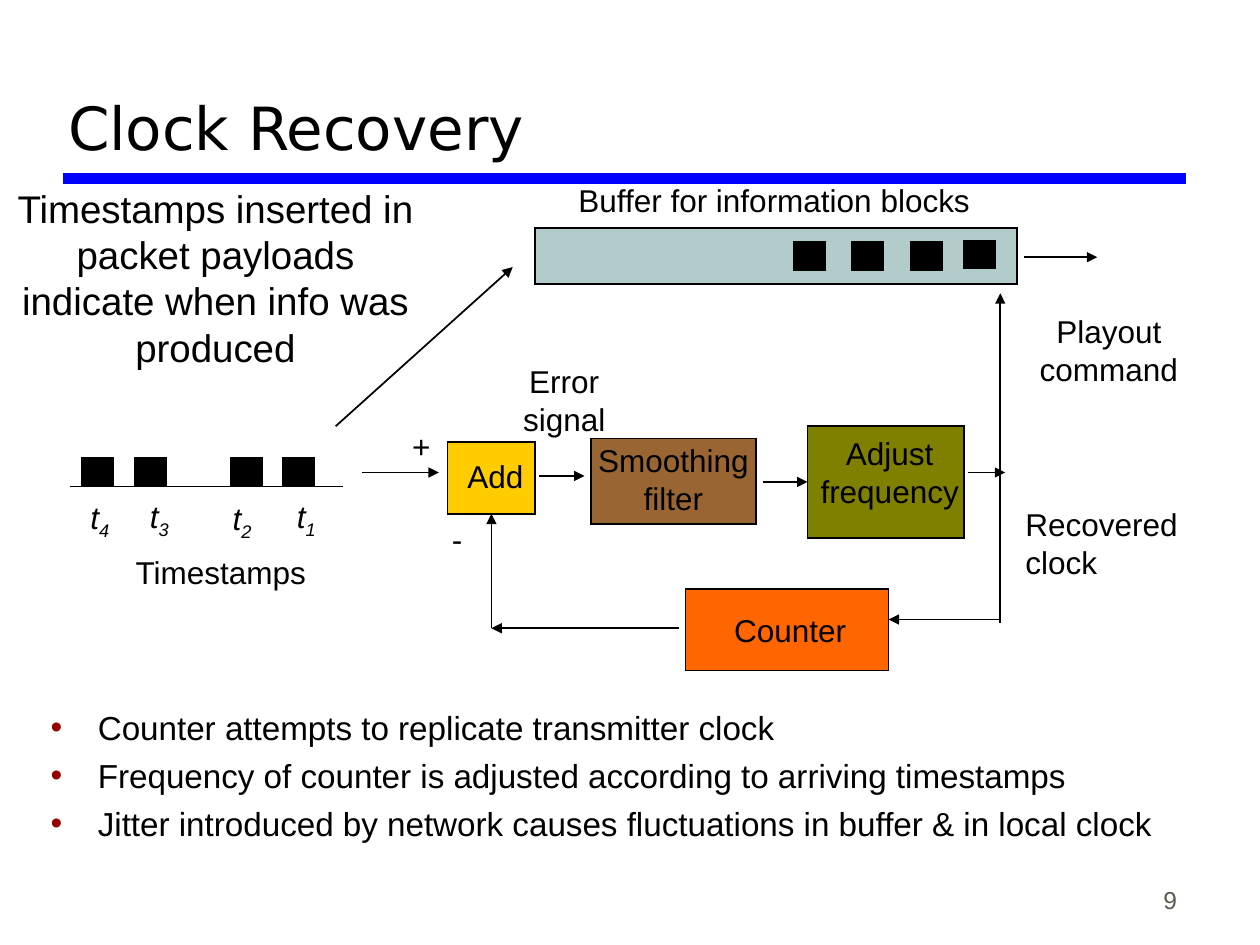
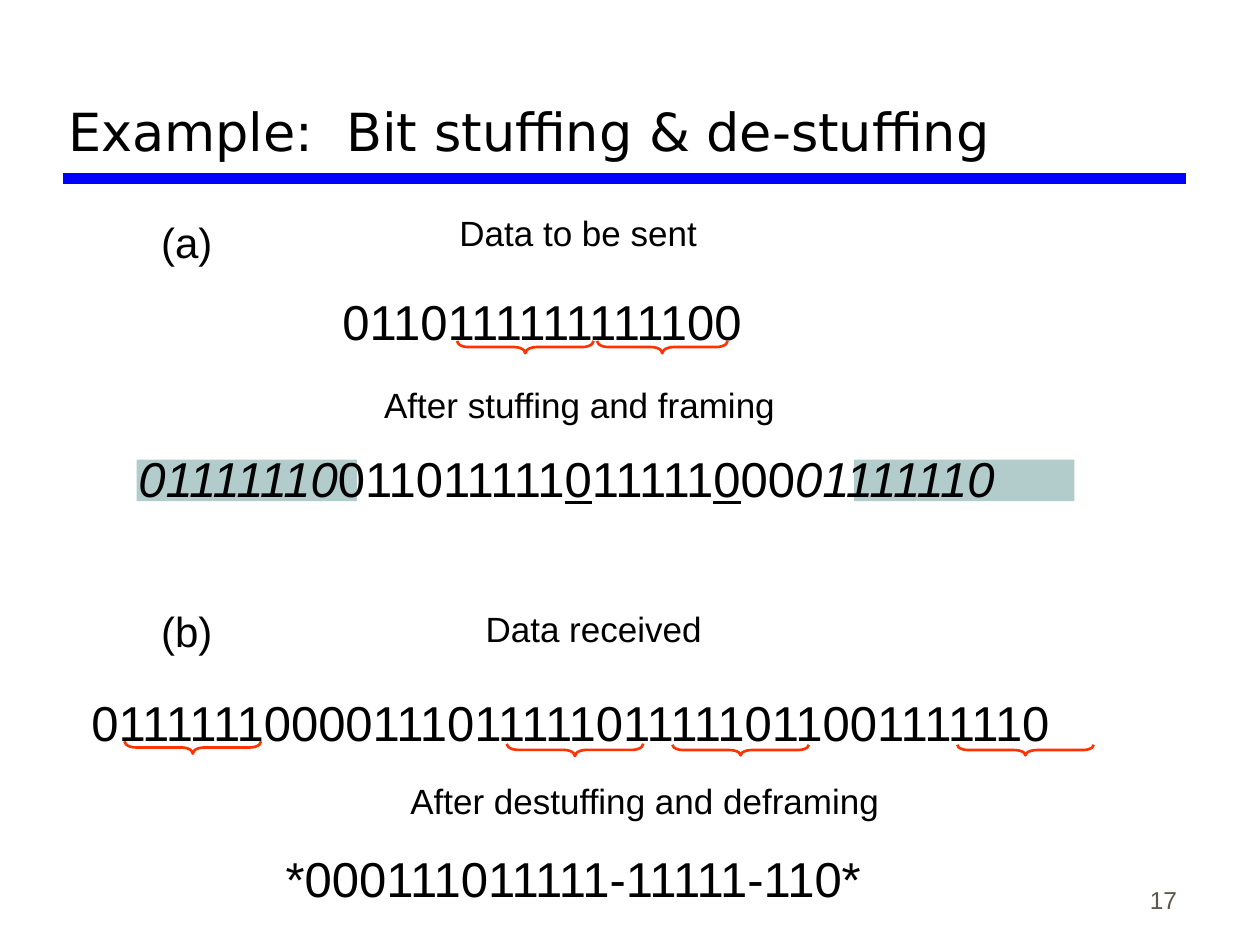
import dataclasses

import lxml.etree
import pptx
import pptx.dml.color
import pptx.enum.shapes
import pptx.enum.text
import pptx.oxml.ns
import pptx.util

Pt = pptx.util.Pt
Align = pptx.enum.text.PP_ALIGN
Anchor = pptx.enum.text.MSO_ANCHOR
AutoSize = pptx.enum.text.MSO_AUTO_SIZE
Preset = pptx.enum.shapes.MSO_SHAPE


@dataclasses.dataclass(frozen=True)
class Theme:
    title_font: str = "DejaVu Sans"
    text_font: str = "Arial"
    ink: str = "000000"
    rule: str = "0000FF"
    number: str = "5E574E"
    bullet: str = "990000"
    pale: str = "B1CCCB"
    brace: str = "FF3300"
    adder: str = "FFCC00"
    smoother: str = "996633"
    adjuster: str = "808000"
    counter: str = "FF6600"
    title_size: int = 34
    long_title_size: int = 30
    number_size: int = 14
    label_size: int = 18
    bullet_size: int = 19
    caption_size: int = 20
    note_size: int = 22
    part_size: int = 24
    bits_size: int = 28


def rgb(value):
    return pptx.dml.color.RGBColor.from_string(value)


def add_xml(parent, tag, **attributes):
    return lxml.etree.SubElement(parent, pptx.oxml.ns.qn(tag), attributes)


class SlideBuilder:
    def __init__(self, deck, theme):
        self.deck = deck
        self.theme = theme
        self.page = None

    def start(self, title, title_size, number):
        theme = self.theme
        self.page = self.deck.slides.add_slide(self.deck.slide_layouts[5])
        self.line((36, 102), (678, 102), theme.rule, 6)
        box = self.page.shapes.title
        box.left, box.top, box.width, box.height = Pt(31.7), Pt(12), Pt(645.8), Pt(84.2)
        frame = box.text_frame
        frame.text = title
        frame.word_wrap = True
        frame.auto_size = AutoSize.NONE
        frame.vertical_anchor = Anchor.BOTTOM
        frame.paragraphs[0].alignment = Align.LEFT
        self.format(frame.paragraphs[0], title_size, theme.ink, theme.title_font)
        corner = self.label(str(number), 529.9, 490.3, 149.8, theme.number_size,
                            align=Align.RIGHT, color=theme.number, wrap=True)
        corner.height = Pt(36)
        corner.text_frame.vertical_anchor = Anchor.BOTTOM

    def format(self, para, size, color, name=None):
        for span in para.runs:
            span.font.name = name or self.theme.text_font
            span.font.size = Pt(size)
            span.font.color.rgb = rgb(color)

    def label(self, text, left, top, width, size, align=Align.LEFT, color=None, wrap=False, rows=None):
        rows = rows or text.count("\n") + 1
        box = self.page.shapes.add_textbox(
            Pt(left), Pt(top), Pt(width), Pt(7.2 + 1.2 * size * rows))
        frame = box.text_frame
        frame.text = text
        frame.word_wrap = wrap
        frame.auto_size = AutoSize.NONE if wrap else AutoSize.SHAPE_TO_FIT_TEXT
        for para in frame.paragraphs:
            para.alignment = align
            self.format(para, size, color or self.theme.ink)
        return box

    def spans(self, parts, left, top, width, size, wrap=False):
        box = self.label("", left, top, width, size, wrap=wrap)
        para = box.text_frame.paragraphs[0]
        for text, style in parts:
            span = para.add_run()
            span.text = text
            span.font.italic = "i" in style
            span.font.underline = "u" in style
            if "sub" in style:
                span.font._element.set("baseline", "-25000")
        self.format(para, size, self.theme.ink)

    def bullets(self, lines, left, top, width, height):
        box = self.label("\n".join(lines), left, top, width, self.theme.bullet_size, wrap=True)
        box.height = Pt(height)
        for index, para in enumerate(box.text_frame.paragraphs):
            settings = para._p.get_or_add_pPr()
            settings.set("marL", str(Pt(27)))
            settings.set("indent", str(-Pt(27)))
            if index:
                para.space_before = Pt(4.8)
            color = add_xml(settings, "a:buClr")
            add_xml(color, "a:srgbClr", val=self.theme.bullet)
            add_xml(settings, "a:buFont", typeface=self.theme.text_font)
            add_xml(settings, "a:buChar", char="•")

    def block(self, left, top, width, height, fill, outlined=True):
        box = self.page.shapes.add_shape(
            Preset.RECTANGLE, Pt(left), Pt(top), Pt(width), Pt(height))
        box.shadow.inherit = False
        box.fill.solid()
        box.fill.fore_color.rgb = rgb(fill)
        if outlined:
            box.line.color.rgb = rgb(self.theme.ink)
            box.line.width = Pt(1)
            add_xml(box.line._get_or_add_ln(), "a:miter", lim="800000")
        else:
            box.line.fill.background()
        return box

    def packets(self, positions):
        for left, top in positions:
            self.block(left, top, 18, 16, self.theme.ink)

    def line(self, start, end, color=None, weight=1):
        link = self.page.shapes.add_connector(
            pptx.enum.shapes.MSO_CONNECTOR.STRAIGHT, *map(Pt, start + end))
        link.line.color.rgb = rgb(color or self.theme.ink)
        link.line.width = Pt(weight)
        add_xml(link._element.spPr, "a:effectLst")
        return link

    def arrow(self, start, end, target=None, site=None):
        link = self.line(start, end)
        add_xml(link.line._get_or_add_ln(), "a:tailEnd", type="triangle")
        if target is not None:
            link.end_connect(target, site)

    def brace(self, left, top, width, depth):
        shape = self.page.shapes.add_shape(
            Preset.LEFT_BRACE, Pt(left + (width - depth) / 2),
            Pt(top - (width - depth) / 2), Pt(depth), Pt(width))
        shape.rotation = 270
        shape.adjustments[0] = 6.4 / depth
        shape.shadow.inherit = False
        shape.fill.background()
        shape.line.color.rgb = rgb(self.theme.brace)
        shape.line.width = Pt(1.5)


def build_clock_recovery(builder):
    theme = builder.theme
    size = theme.label_size
    builder.start("Clock Recovery", theme.title_size, 9)

    builder.packets((left, 261.4) for left in (46.6, 76.8, 131.8, 161.8))
    builder.line((39.8, 278), (195.8, 278))
    for index, left, top in ((4, 44.6, 281), (3, 78.6, 280.6), (2, 125.8, 281.6), (1, 162.6, 280.6)):
        builder.spans([("t", "i"), (str(index), ("i", "sub"))], left, top, 25.2, size)

    adder = builder.block(255.8, 252.6, 50, 41, theme.adder)
    builder.block(337.8, 250.6, 94.4, 49, theme.smoother)
    adjuster = builder.block(461.5, 243.4, 89.4, 64, theme.adjuster)
    builder.block(391.8, 336.4, 116, 46.8, theme.counter)
    builder.block(305.6, 130.4, 275.4, 31.8, theme.pale)
    builder.packets(((453.6, 138.4), (486.6, 138.4), (520.6, 138.4), (550.6, 137.4)))

    builder.arrow((206.8, 270), (250.8, 270))
    builder.arrow((308.2, 272), (334, 272))
    builder.arrow((435.8, 275.4), (461.5, 275.4), adjuster, 1)
    builder.arrow((553, 270), (574.4, 270))
    builder.arrow((572, 354), (507.8, 354))
    builder.arrow((388, 359), (280.8, 359))
    builder.arrow((280.8, 359), (280.8, 293.6), adder, 2)
    builder.arrow((571.6, 356.2), (571.6, 167.6))
    builder.arrow((585, 147), (627, 147))
    builder.arrow((191.8, 243.6), (293, 152.6))

    for text, left, top, width, align in (
        ("Recovered\nclock", 578.9, 285.2, 102, Align.LEFT),
        ("Timestamps", 70.4, 312.6, 112.4, Align.LEFT),
        ("Add", 260, 257.8, 48, Align.LEFT),
        ("Smoothing\nfilter", 332.8, 248.4, 104, Align.CENTER),
        ("Adjust\nfrequency", 460.4, 244.6, 96, Align.CENTER),
        ("Counter", 412.4, 345.6, 80, Align.LEFT),
        ("+", 228.4, 240.6, 26, Align.LEFT),
        ("-", 251.2, 293.8, 22, Align.LEFT),
        ("Buffer for information blocks", 323.4, 100, 240, Align.LEFT),
        ("Error\nsignal", 290.4, 203.6, 64, Align.CENTER),
        ("Playout\ncommand", 585.6, 175, 96, Align.CENTER),
    ):
        builder.label(text, left, top, width, size, align)

    builder.bullets((
        "Counter attempts to replicate transmitter clock",
        "Frequency of counter is adjusted according to arriving timestamps",
        "Jitter introduced by network causes fluctuations in buffer & in local clock",
    ), 21.8, 400.4, 688.4, 108)
    builder.label("Timestamps inserted in packet payloads indicate when info was produced",
                  0, 102.2, 246.2, theme.note_size, Align.CENTER, wrap=True, rows=4)


def build_bit_stuffing(builder):
    theme = builder.theme
    builder.start("Example:  Bit stuffing & de-stuffing", theme.long_title_size, 17)

    for left in (78, 488):
        builder.block(left, 262.6, 126, 23.8, theme.pale, outlined=False)

    for text, top in (("(a)", 120.2), ("(b)", 342.6)):
        builder.label(text, 85, top, 45, theme.part_size)
    for text, left, top, width in (
        ("Data to be sent", 255.4, 117.4, 151),
        ("After stuffing and framing", 212.4, 215.4, 239),
        ("Data received", 270.4, 343.4, 139),
        ("After destuffing and deframing", 227.4, 442, 283),
    ):
        builder.label(text, left, top, width, theme.caption_size)
    for text, left, top, width in (
        ("0110111111111100", 188.6, 163, 289.4),
        ("01111110000111011111011111011001111110", 45.2, 392.4, 622.1),
        ("*000111011111-11111-110*", 156.2, 481.2, 424.1),
    ):
        builder.label(text, left, top, width, theme.bits_size, wrap=True)

    flag = ("01111110", "i")
    stuffed = ("0", "u")
    builder.spans([flag, ("011011111", ""), stuffed, ("11111", ""), stuffed, ("00", ""), flag],
                  72, 252.6, 571, theme.bits_size, wrap=True)

    for left, top, width, depth in (
        (261.2, 194.8, 78, 7),
        (341.2, 194.8, 74.6, 7),
        (71.2, 423.6, 78, 7),
        (289.6, 425, 78, 7),
        (384.2, 425.6, 78, 6),
        (547, 425.6, 78, 6),
    ):
        builder.brace(left, top, width, depth)


def main():
    deck = pptx.Presentation()
    deck.slide_width, deck.slide_height = Pt(720), Pt(540)
    builder = SlideBuilder(deck, Theme())
    build_clock_recovery(builder)
    build_bit_stuffing(builder)
    deck.save("out.pptx")


if __name__ == "__main__":
    main()
